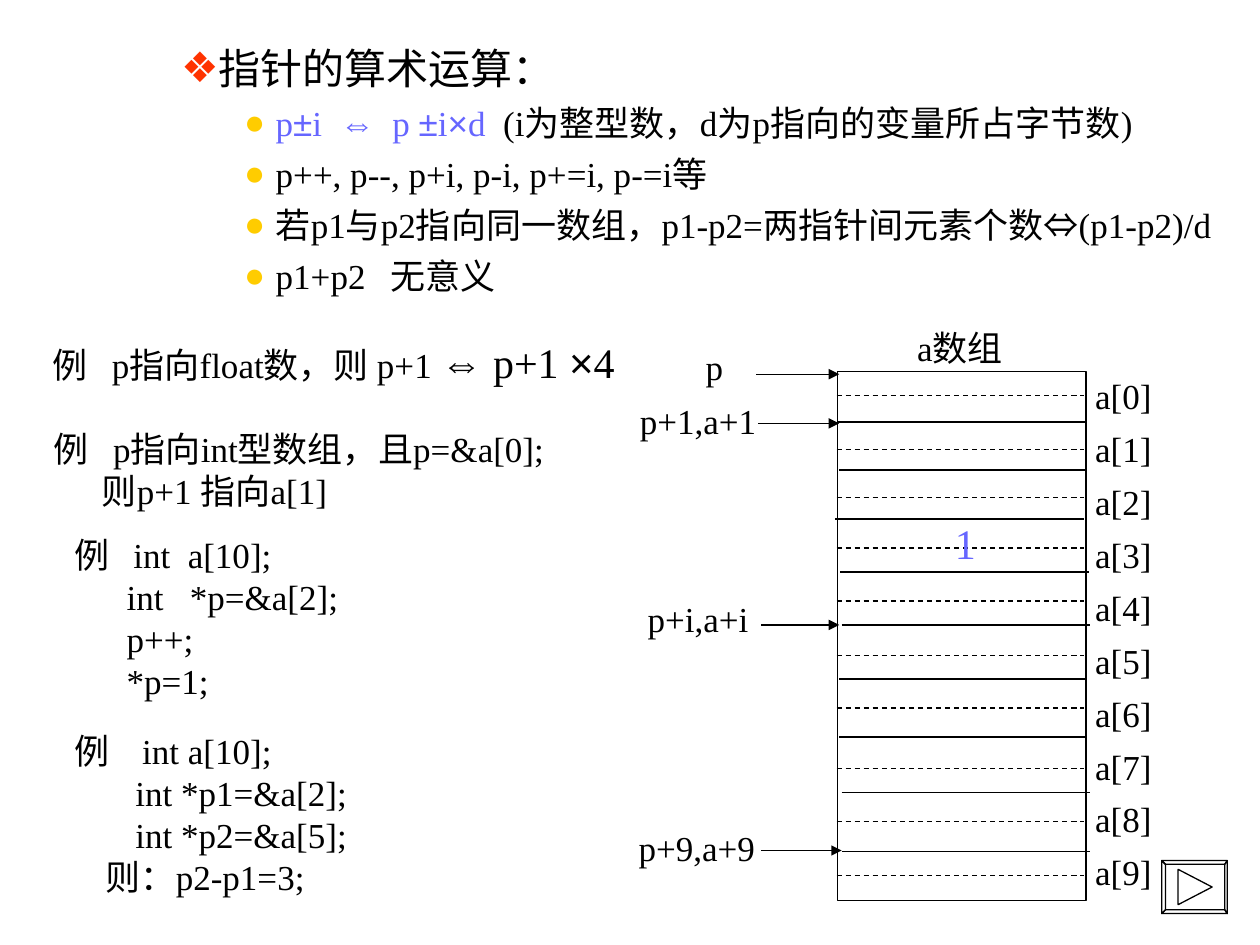
import pptx
import pptx.dml.color
import pptx.enum.dml
import pptx.enum.shapes
import pptx.enum.text
import pptx.oxml.ns
import pptx.util
from lxml import etree

ALIGN = pptx.enum.text.PP_ALIGN
ANCHOR = pptx.enum.text.MSO_ANCHOR
KIND = pptx.enum.shapes


def color(code):
    return pptx.dml.color.RGBColor.from_string(code)


def child(node, tag, **attrs):
    return etree.SubElement(node, pptx.oxml.ns.qn("a:" + tag), attrs)


class Board:
    """Style and current slide; lengths count cells of a 100 x 75 grid."""
    cell = pptx.util.Inches(0.1)
    face, sign = "Times New Roman", "Arial"
    ink, paper, blue = "000000", "FFFFFF", "6666FF"
    red, gold = "FF3300", "FFCC00"
    size, big, thin = 20, 24, 0.75

    def __init__(self, slide):
        self.slide = slide
        self.items = slide.shapes

    def grid(self, *spans):
        return [round(span * self.cell) for span in spans]

    def pen(self, line):
        line.color.rgb = color(self.ink)
        line.width = pptx.util.Pt(self.thin)

    def frame(self, at, anchor=ANCHOR.TOP, wrap=True):
        frame = self.items.add_textbox(*self.grid(*at)).text_frame
        frame.word_wrap = wrap
        frame.vertical_anchor = anchor
        return frame

    def para(self, frame, runs, size=None, hue=None, align=ALIGN.LEFT,
             left=0, hang=0, mark=None, tint=None, tab=None, above=0, level=0):
        """Add a paragraph; each run is a string or (string, font overrides)."""
        first = frame.paragraphs[0]
        para = frame.add_paragraph() if first.runs else first
        para.alignment = align
        para.level = level
        if above:
            para.space_before = pptx.util.Pt(above)
        props = para._p.get_or_add_pPr()
        if left:
            props.set("marL", str(self.grid(left)[0]))
            props.set("indent", str(-self.grid(hang)[0]))
        if mark:
            child(child(props, "buClr"), "srgbClr", val=tint)
            child(props, "buFont", typeface=self.sign)
            child(props, "buChar", char=mark)
        if tab:
            child(child(props, "tabLst"), "tab",
                  pos=str(self.grid(tab)[0]), algn="l")
        self.font(para.font, self.face, size or self.size, hue or self.ink)
        for item in runs if isinstance(runs, list) else [runs]:
            text, style = (item, {}) if isinstance(item, str) else item
            run = para.add_run()
            run.text = text
            self.font(run.font, **style)

    def font(self, font, face=None, size=None, hue=None):
        if face:
            font.name = face
        if size:
            font.size = pptx.util.Pt(size)
        if hue:
            font.color.rgb = color(hue)

    def label(self, at, text):
        frame = self.frame(at, ANCHOR.MIDDLE, False)
        frame.margin_left = frame.margin_right = 0
        self.para(frame, text, align=ALIGN.CENTER)

    def rect(self, at):
        box = self.items.add_shape(KIND.MSO_SHAPE.RECTANGLE, *self.grid(*at))
        box.shadow.inherit = False
        box.fill.solid()
        box.fill.fore_color.rgb = color(self.paper)
        self.pen(box.line)

    def rule(self, left, right, top, dash=False, arrow=False):
        rule = self.items.add_connector(
            KIND.MSO_CONNECTOR.STRAIGHT, *self.grid(left, top, right, top))
        self.pen(rule.line)
        if dash:
            rule.line.dash_style = pptx.enum.dml.MSO_LINE.DASH
        if arrow:
            child(rule.line._get_or_add_ln(), "tailEnd", type="triangle")
        child(rule._element.spPr, "effectLst")

    def outline(self, loops):
        build = self.items.build_freeform(*loops[0][0], scale=self.cell / 10)
        for loop in loops:
            build.move_to(*loop[0])
            build.add_line_segments(loop[1:], close=True)
        shape = build.convert_to_shape()
        shape.shadow.inherit = False
        shape.fill.background()
        self.pen(shape.line)


def corners(left, top, right, low):
    return [(left, top), (right, top), (right, low), (left, low)]


def main():
    deck = pptx.Presentation()
    deck.slide_width, deck.slide_height = pptx.util.Inches(10), pptx.util.Inches(7.5)
    board = Board(deck.slides.add_slide(deck.slide_layouts[6]))
    sign, blue = {"face": board.sign}, {"hue": board.blue}
    both = {**sign, **blue}

    # Heading and rules of pointer arithmetic
    frame = board.frame((3.4, 2.9, 94.3, 21.3))
    board.para(frame, "指针的算术运算：", board.big, left=12.5, hang=2.5,
               mark="❖", tint=board.red, level=1)
    points = [
        [("p", blue), ("±", both), ("i  ", blue), ("⇔", both), ("  p ", blue),
         ("±", both), ("i", blue), ("×", both), ("d", blue),
         "  (i为整型数，d为p指向的变量所占字节数)"],
        "p++, p--, p+i, p-i, p+=i, p-=i等",
        ["若p1与p2指向同一数组，p1-p2=两指针间元素个数", ("⇔", sign), "(p1-p2)/d"],
        "p1+p2\t无意义",
    ]
    for point in points:
        board.para(frame, point, left=17.5, hang=2.5, mark="●", tint=board.gold,
                   tab=26.6 if "\t" in point else None, above=5, level=2)

    # Examples: place, anchor, tab stop, lines as (indent, runs)
    large = {"size": board.big}
    samples = [
        ((3.2, 26.2, 50.5, 5), ANCHOR.MIDDLE, 4.7, [
            (0, ["例\tp指向float数，则 p+1 ", ("⇔", {**sign, **large}),
                 (" p+1 ", large), ("×", {**sign, **large}), ("4", large)])]),
        ((3.3, 33.4, 45, 7.7), ANCHOR.MIDDLE, 4.7, [
            (0, "例\tp指向int型数组，且p=&a[0];"), (3.8, "则p+1 指向a[1]")]),
        ((4.9, 41.8, 25, 14.4), ANCHOR.MIDDLE, 4.7, [
            (0, "例\tint  a[10];"), (0, "      int   *p=&a[2];"),
            (0, "      p++;"), (0, "      *p=1;")]),
        ((4.9, 57.4, 25, 14.4), ANCHOR.TOP, 5.4, [
            (0, "例\tint a[10];"), (0, "       int *p1=&a[2];"),
            (0, "       int *p2=&a[5];"), (2.5, "则：p2-p1=3;")]),
    ]
    for at, anchor, tab, lines in samples:
        frame = board.frame(at, anchor)
        for left, runs in lines:
            board.para(frame, runs, left=left, tab=tab)

    # Next button: bevelled frame with a triangle
    outer, inner = corners(922, 683, 974, 725), corners(925, 686, 972, 722)
    bevels = [[outer[i - 1], outer[i], inner[i], inner[i - 1]] for i in range(4)]
    board.outline([outer, *bevels, [(935, 690), (962, 704), (935, 718)]])

    # Array box, cell borders and index labels
    left, top, wide, row = 66.5, 29.5, 19.7, 4.2
    board.rect((left, top, wide, 10 * row))
    borders = [(0, 33.5), (0.1, 37.3), (-0.2, 41.2), (0.2, 45.4), (0.3, 49.6),
               (0.1, 53.9), (0.1, 58.5), (0.3, 62.9), (0.3, 67.6)]
    for shift, y in borders:
        board.rule(left + shift, left + shift + wide, y)
    for i in range(10):
        board.label((85.9, top - 0.3 + i * row, 6.5, 4.4), f"a[{i}]")
    board.label((71.5, 25.4, 9.4, 4.4), "a数组")

    # Pointers into the array: text, label left, top, width, arrow from, to, height
    arrows = [("p", 55, 26.9, 3.4, 60, 66.6, 29.7),
              ("p+1,a+1", 49.8, 31.2, 11.2, 60.2, 66.6, 33.6),
              ("p+i,a+i", 50.4, 46.9, 10, 60.4, 66.6, 49.6),
              ("p+9,a+9", 49.7, 65.1, 11.2, 60.4, 66.8, 67.5)]
    for text, x, y, width, start, end, level in arrows:
        board.rule(start, end, level, arrow=True)
        board.label((x, y, width, 4.4), text)

    # Dashed middle of each cell
    for y in (31.4, 35.7, 39.5, 43.5, 47.7, 52, 56.2, 61, 65.2, 69.5):
        board.rule(66.4, 86, y, dash=True)

    # Value stored in a[3]
    board.para(board.frame((74.8, 40.6, 3.6, 5), wrap=False), "1", board.big, board.blue)
    deck.save("out.pptx")


if __name__ == "__main__":
    main()
